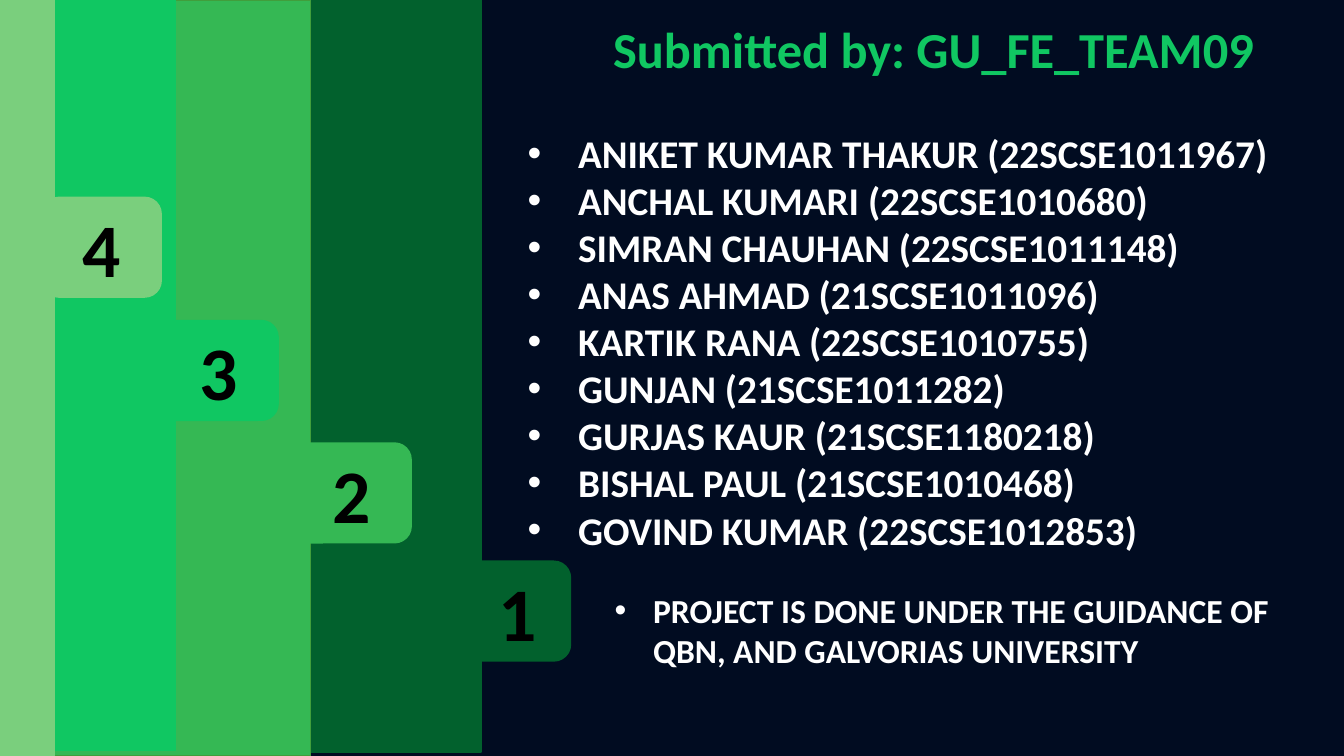
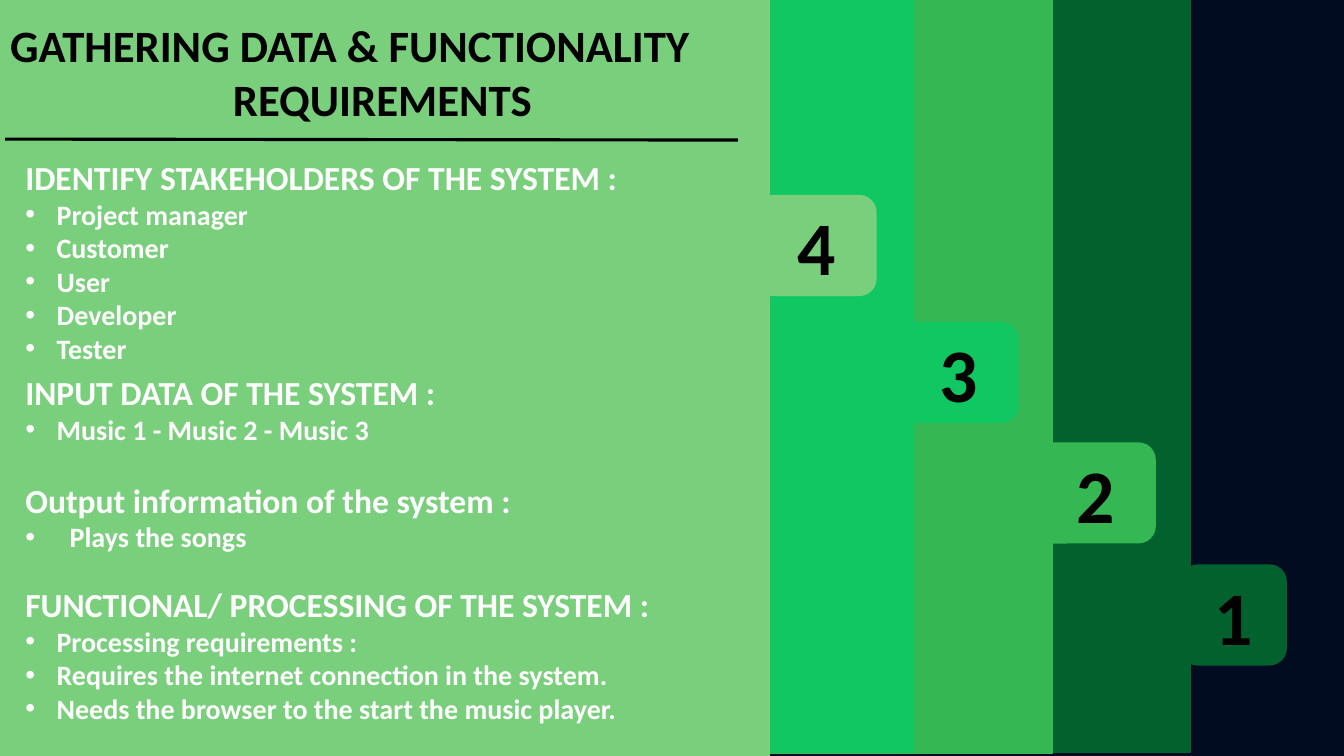
from dataclasses import dataclass

from lxml import etree
from pptx import Presentation
from pptx.dml.color import RGBColor
from pptx.enum.shapes import MSO_CONNECTOR, MSO_SHAPE
from pptx.enum.text import MSO_ANCHOR, MSO_AUTO_SIZE, PP_ALIGN
from pptx.oxml.ns import qn
from pptx.util import Inches, Pt

SLIDE_WIDTH, SLIDE_HEIGHT = Inches(13.33), Inches(7.5)
FONT = "Calibri"
NAVY, WHITE, BLACK = "010C21", "FFFFFF", "000000"
FOREST, LEAF, EMERALD, MINT = "02612D", "35B854", "10C762", "7ACF7D"
BAND_COLORS = (FOREST, LEAF, EMERALD, MINT)
LEAF_EDGE = "419E3C"
TAB_HEIGHT = 13.2
TAB_WIDTHS = (7.8, 8.85, 8.85, 8.85)


@dataclass
class Band:
    """Edges of a band that bleeds off the slide, and its tab's corner."""
    left: float
    top: float
    right: float
    bottom: float
    tab_left: float
    tab_top: float


@dataclass
class Line:
    """One paragraph: sizes and spacing in points, margin in inches."""
    text: str
    size: float
    color: str = WHITE
    margin: float = 0
    bullet: bool = False
    space_before: float = 0


TEAM_BANDS = (
    Band(-41.11, -0.13, 35.78, 99.47, 34.65, 74.23),
    Band(-45.09, 0, 23.1, 100, 21.75, 58.6),
    Band(-46.66, -0.53, 13.05, 99.2, 11.85, 42.4),
    Band(-55.14, -0.4, 4.05, 100.4, 3.15, 26.1),
)
REQUIREMENT_BANDS = (
    Band(11.7, -0.13, 88.58, 99.47, 87.9, 74.74),
    Band(10.13, -0.4, 78.3, 99.6, 77.1, 58.6),
    Band(-1.95, -0.53, 67.95, 99.47, 66.9, 42.67),
    Band(-1.95, -0.67, 57.22, 100.13, 56.33, 25.87),
)
TEAM = (
    "ANIKET KUMAR THAKUR (22SCSE1011967)",
    "ANCHAL KUMARI (22SCSE1010680)",
    "SIMRAN CHAUHAN (22SCSE1011148)",
    "ANAS AHMAD (21SCSE1011096)",
    "KARTIK RANA (22SCSE1010755)",
    "GUNJAN (21SCSE1011282)",
    "GURJAS KAUR (21SCSE1180218)",
    "BISHAL PAUL (21SCSE1010468)",
    "GOVIND KUMAR (22SCSE1012853)",
)
STAKEHOLDERS = ("Project manager", "Customer", "User", "Developer", "Tester")
PROCESSING = (
    "Processing requirements :",
    "Requires the internet connection in the system.",
    "Needs the browser to the start the music player.",
)


def rgb(color):
    return RGBColor.from_string(color)


def place(*shares):
    """Turn alternating x and y percentages of the slide into lengths."""
    return [int(share / 100 * (SLIDE_HEIGHT if index % 2 else SLIDE_WIDTH))
            for index, share in enumerate(shares)]


def add_run(paragraph, text, size, color):
    run = paragraph.add_run()
    run.text = text
    run.font.name, run.font.size, run.font.bold = FONT, Pt(size), True
    run.font.color.rgb = rgb(color)


def set_indent(paragraph, line):
    properties = paragraph._p.get_or_add_pPr()
    properties.set("marL", str(Inches(line.margin)))
    properties.set("indent", str(-Inches(line.margin) if line.bullet else 0))
    if line.bullet:
        etree.SubElement(properties, qn("a:buFont")).set("typeface", "Arial")
        etree.SubElement(properties, qn("a:buChar")).set("char", "•")


def write_lines(frame, lines):
    frame.word_wrap = True
    frame.auto_size = MSO_AUTO_SIZE.NONE
    frame.vertical_anchor = MSO_ANCHOR.TOP
    for index, line in enumerate(lines):
        paragraph = frame.add_paragraph() if index else frame.paragraphs[0]
        paragraph.alignment = PP_ALIGN.LEFT
        paragraph.line_spacing = 1.0
        paragraph.space_before = Pt(line.space_before)
        set_indent(paragraph, line)
        add_run(paragraph, line.text, line.size, line.color)


def add_text(slide, box, lines):
    write_lines(slide.shapes.add_textbox(*place(*box)).text_frame, lines)


def set_title(slide, box, lines):
    """Place the title placeholder in front of the bands and fill it."""
    title = slide.shapes.title
    title.element.getparent().append(title.element)
    title.left, title.top, title.width, title.height = place(*box)
    write_lines(title.text_frame, lines)


def add_block(slide, preset, box, color, edge):
    shape = slide.shapes.add_shape(preset, *place(*box))
    shape.shadow.inherit = False
    shape.fill.solid()
    shape.fill.fore_color.rgb = rgb(color)
    shape.line.color.rgb = rgb(edge)
    shape.line.width = Pt(1)
    return shape


def add_bands(slide, bands, edges=BAND_COLORS):
    """Stack the bands from back to front, each with its numbered tab."""
    parts = zip(bands, BAND_COLORS, edges, TAB_WIDTHS)
    for number, (band, color, edge, tab_width) in enumerate(parts, start=1):
        band_box = (band.left, band.top, band.right - band.left, band.bottom - band.top)
        add_block(slide, MSO_SHAPE.RECTANGLE, band_box, color, edge)
        tab_box = (band.tab_left, band.tab_top, tab_width, TAB_HEIGHT)
        tab = add_block(slide, MSO_SHAPE.ROUNDED_RECTANGLE, tab_box, color, color)
        tab.text_frame.vertical_anchor = MSO_ANCHOR.MIDDLE
        paragraph = tab.text_frame.paragraphs[0]
        paragraph.alignment = PP_ALIGN.CENTER
        add_run(paragraph, str(number), 54, BLACK)


def add_rule(slide, ends):
    rule = slide.shapes.add_connector(MSO_CONNECTOR.STRAIGHT, *place(*ends))
    rule.line.color.rgb = rgb(BLACK)
    rule.line.width = Pt(2.25)
    etree.SubElement(rule.element.spPr, qn("a:effectLst"))


def bullets(texts, size, margin):
    return [Line(text, size, margin=margin, bullet=True) for text in texts]


def add_slide(presentation):
    return presentation.slides.add_slide(presentation.slide_layouts.get_by_name("Title Only"))


def build_team_slide(presentation):
    slide = add_slide(presentation)
    add_bands(slide, TEAM_BANDS, (FOREST, LEAF_EDGE, EMERALD, MINT))
    set_title(slide, (44.87, 1.73, 52.7, 9.3),
              [Line("Submitted by: GU_FE_TEAM09", 36, EMERALD)])
    add_text(slide, (38.53, 16.45, 59.03, 57.87), bullets(TEAM, 28, 0.5))
    guidance = "PROJECT IS DONE UNDER THE GUIDANCE OF QBN, AND GALVORIAS UNIVERSITY"
    add_text(slide, (45, 77.33, 52.8, 12.13), bullets([guidance], 24, 0.38))


def build_requirements_slide(presentation):
    slide = add_slide(presentation)
    add_bands(slide, REQUIREMENT_BANDS)
    set_title(slide, (0, 1.73, 55.58, 15.73), [
        Line("GATHERING DATA & FUNCTIONALITY", 32, BLACK),
        Line("REQUIREMENTS", 32, BLACK, margin=2.21),
    ])
    add_text(slide, (1.15, 20.07, 45.6, 29.2), [
        Line("IDENTIFY STAKEHOLDERS OF THE SYSTEM :", 24),
        *bullets(STAKEHOLDERS, 20, 0.31),
    ])
    add_text(slide, (1.15, 48.53, 54.9, 48.53), [
        Line("INPUT DATA OF THE SYSTEM :", 24),
        *bullets(["Music 1 - Music 2 - Music 3"], 20, 0.31),
        Line("Output information of the system :", 24, space_before=24),
        *bullets(["Plays the songs"], 20, 0.44),
        Line("FUNCTIONAL/ PROCESSING OF THE SYSTEM :", 24, space_before=21.8),
        *bullets(PROCESSING, 20, 0.31),
    ])
    add_rule(slide, (0.38, 18.4, 54.9, 18.53))


def main():
    presentation = Presentation()
    presentation.slide_width, presentation.slide_height = SLIDE_WIDTH, SLIDE_HEIGHT
    background = presentation.slide_master.background.fill
    background.solid()
    background.fore_color.rgb = rgb(NAVY)
    build_team_slide(presentation)
    build_requirements_slide(presentation)
    presentation.save("out.pptx")


if __name__ == "__main__":
    main()
